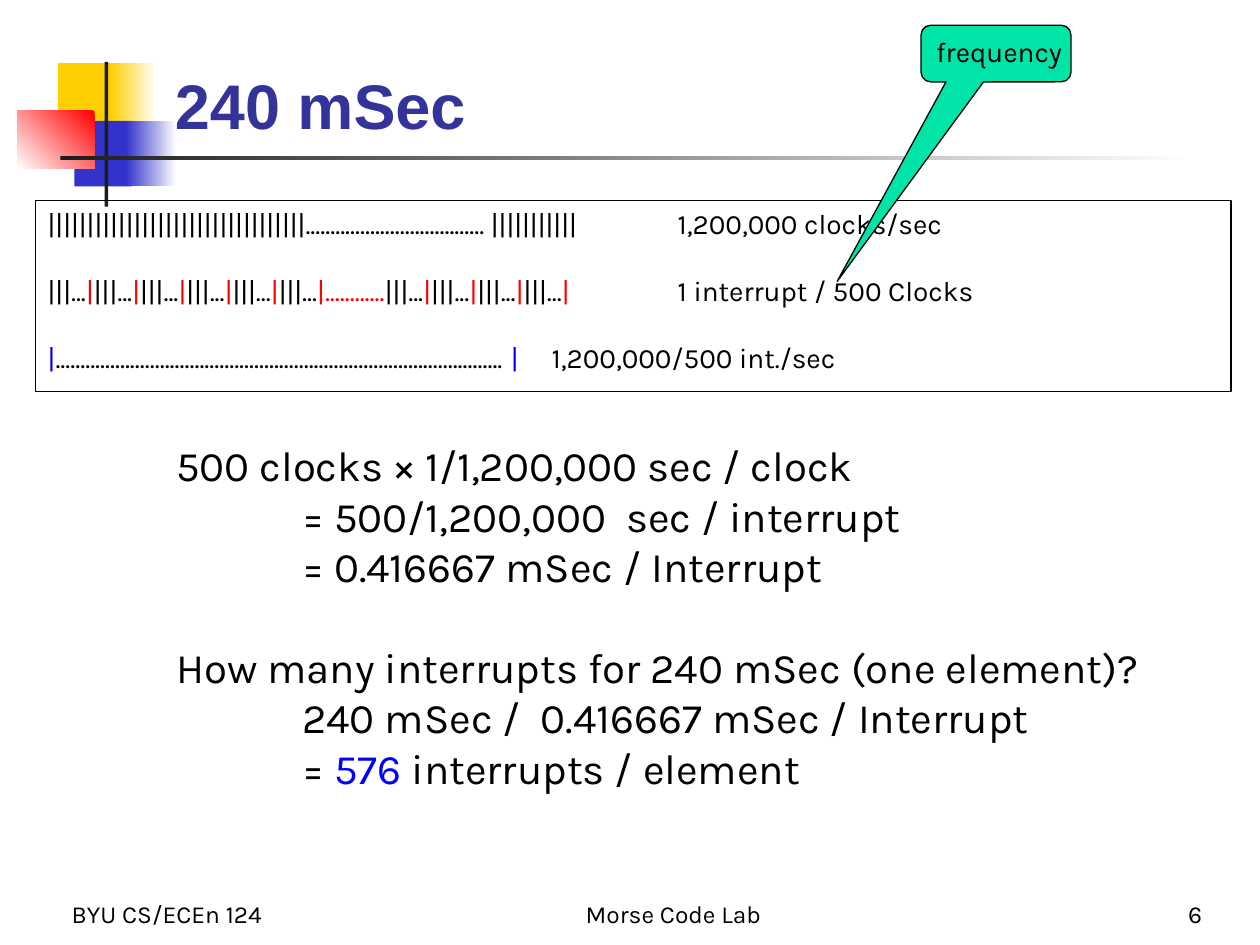
import pptx
import pptx.util
import pptx.dml.color
import pptx.enum.shapes
import pptx.enum.text
import pptx.oxml
import pptx.oxml.ns

RGBColor = pptx.dml.color.RGBColor
MSO_SHAPE = pptx.enum.shapes.MSO_SHAPE
PP_ALIGN = pptx.enum.text.PP_ALIGN
MSO_ANCHOR = pptx.enum.text.MSO_ANCHOR

WHITE = RGBColor(0xFF, 0xFF, 0xFF)
BLACK = RGBColor(0x00, 0x00, 0x00)
CHARCOAL = RGBColor(0x1C, 0x1C, 0x1C)
YELLOW = RGBColor(0xFF, 0xCF, 0x01)
INDIGO = RGBColor(0x33, 0x33, 0xCC)
TITLE_BLUE = RGBColor(0x33, 0x33, 0x99)
RED = RGBColor(0xFF, 0x00, 0x00)
BLUE = RGBColor(0x00, 0x00, 0xFF)
GREEN = RGBColor(0x00, 0xE4, 0xA8)

COLUMNS, ROWS = 100, 75
SLIDE_WIDTH = pptx.util.Inches(10)
SLIDE_HEIGHT = pptx.util.Inches(7.5)
BODY_FONT = "Karla"


def grid(column, row, columns, rows):
    cell_width, cell_height = SLIDE_WIDTH / COLUMNS, SLIDE_HEIGHT / ROWS
    return [round(length) for length in (column * cell_width, row * cell_height,
                                         columns * cell_width, rows * cell_height)]


def add_shape(slide, kind, area, fill=None, line=None):
    shape = slide.shapes.add_shape(kind, *grid(*area))
    shape.shadow.inherit = False
    if fill is None:
        shape.fill.background()
    else:
        shape.fill.solid()
        shape.fill.fore_color.rgb = fill
    if line is None:
        shape.line.fill.background()
    else:
        shape.line.color.rgb = line
        shape.line.width = pptx.util.Pt(0.75)
    return shape


def add_fading_block(slide, area, color, angle=0):
    shape = add_shape(slide, MSO_SHAPE.RECTANGLE, area)
    shape.fill.gradient()
    shape.fill.gradient_angle = angle
    for stop, stop_color in zip(shape.fill.gradient_stops, (color, WHITE)):
        stop.color.rgb = stop_color


def add_tab_stops(paragraph):
    tab_list = pptx.oxml.parse_xml(f"<a:tabLst {pptx.oxml.ns.nsdecls('a')}/>")
    for inches in range(1, 8):
        tab = tab_list.makeelement(pptx.oxml.ns.qn("a:tab"),
                                   {"pos": str(pptx.util.Inches(inches)), "algn": "l"})
        tab_list.append(tab)
    paragraph._p.get_or_add_pPr().append(tab_list)


def write_paragraph(paragraph, segments, size, color=BLACK, font=BODY_FONT,
                    bold=False, align=PP_ALIGN.LEFT, gap=0, indent=0):
    paragraph.alignment = align
    if gap:
        paragraph.space_before = pptx.util.Pt(gap)
    if indent:
        properties = paragraph._p.get_or_add_pPr()
        properties.set("marL", str(pptx.util.Inches(indent)))
    if any("\t" in text for text, _ in segments):
        add_tab_stops(paragraph)
    paragraph.font.name = font
    paragraph.font.size = pptx.util.Pt(size)
    paragraph.font.bold = bold
    paragraph.font.color.rgb = color
    for text, segment_color in segments:
        run = paragraph.add_run()
        run.text = text
        if segment_color != color:
            run.font.color.rgb = segment_color


def write_lines(shape, lines, size):
    frame = shape.text_frame
    for index, (segments, gap, indent) in enumerate(lines):
        paragraph = frame.add_paragraph() if index else frame.paragraphs[0]
        write_paragraph(paragraph, segments, size, gap=gap, indent=indent)


def add_text_box(slide, area, anchor=MSO_ANCHOR.TOP):
    box = slide.shapes.add_textbox(*grid(*area))
    box.text_frame.word_wrap = True
    box.text_frame.vertical_anchor = anchor
    return box


def add_label(slide, area, text, size, **style):
    box = add_text_box(slide, area, MSO_ANCHOR.BOTTOM)
    color = style.get("color", BLACK)
    write_paragraph(box.text_frame.paragraphs[0], [(text, color)], size, **style)


def add_decoration(slide):
    add_shape(slide, MSO_SHAPE.RECTANGLE, (4.6, 5, 4.8, 5.2), YELLOW)
    add_fading_block(slide, (8.8, 5, 3.6, 5.2), YELLOW)
    add_shape(slide, MSO_SHAPE.RECTANGLE, (5.9, 9.6, 4.6, 5.2), INDIGO)
    add_fading_block(slide, (10, 9.6, 4, 5.2), INDIGO)
    add_fading_block(slide, (1.4, 8.8, 6.1, 4.6), RED, angle=225)
    add_shape(slide, MSO_SHAPE.RECTANGLE, (8.3, 4.9, 0.3, 11.5), CHARCOAL)
    add_fading_block(slide, (4.8, 12.4, 90, 0.3), CHARCOAL)


def add_timeline(slide):
    frame = add_shape(slide, MSO_SHAPE.RECTANGLE, (2.8, 15.9, 94.9, 15.2), line=BLACK)
    frame.text_frame.word_wrap = True
    frame.text_frame.vertical_anchor = MSO_ANCHOR.TOP
    clocks = "|" * 33 + "." * 36 + " " + "|" * 11
    count = ("|||...", BLACK)
    tick = [count, ("|", RED)]
    interrupts = tick * 5 + [count, ("|" + "." * 12, RED)] + tick * 4
    write_lines(frame, [
        ([(clocks + "\t1,200,000 clocks/sec", BLACK)], 0, 0),
        (interrupts + [("\t1 interrupt / 500 Clocks", BLACK)], 19, 0),
        ([("|", BLUE), ("." * 90, BLACK), (" |", BLUE),
          ("\t1,200,000/500 int./sec", BLACK)], 19, 0),
    ], 16)


def add_calculation(slide):
    box = add_text_box(slide, (13, 34.4, 80.6, 29))
    write_lines(box, [
        ([("500 clocks × 1/1,200,000 sec / clock", BLACK)], 0, 0),
        ([("= 500/1,200,000  sec / interrupt", BLACK)], 0, 1),
        ([("= 0.416667 mSec / Interrupt", BLACK)], 0, 1),
        ([("How many interrupts for 240 mSec (one element)?", BLACK)], 28.8, 0),
        ([("240 mSec /  0.416667 mSec / Interrupt", BLACK)], 0, 1),
        ([("= ", BLACK), ("576", BLUE), (" interrupts / element", BLACK)], 0, 1),
    ], 24)


def add_callout(slide):
    callout = add_shape(slide, MSO_SHAPE.ROUNDED_RECTANGULAR_CALLOUT,
                        (73.1, 2, 11.9, 4.5), GREEN, BLACK)
    for index, value in enumerate((-1.06, 4.02, 0.17)):
        callout.adjustments[index] = value
    callout.text_frame.word_wrap = False
    callout.text_frame.vertical_anchor = MSO_ANCHOR.TOP
    write_lines(callout, [([("frequency", BLACK)], 0, 0)], 16)


def main():
    presentation = pptx.Presentation()
    presentation.slide_width = SLIDE_WIDTH
    presentation.slide_height = SLIDE_HEIGHT
    slide = presentation.slides.add_slide(presentation.slide_layouts[6])
    add_decoration(slide)
    add_label(slide, (12.9, 2.3, 85.2, 9.5), "240 mSec", 36,
              color=TITLE_BLUE, font="Arial", bold=True)
    add_label(slide, (4.7, 69.2, 20.8, 5), "BYU CS/ECEn 124", 14)
    add_label(slide, (27.8, 69.2, 51.3, 5), "Morse Code Lab", 14, align=PP_ALIGN.CENTER)
    add_label(slide, (75.6, 69.2, 20.8, 5), "6", 14, align=PP_ALIGN.RIGHT)
    add_timeline(slide)
    add_calculation(slide)
    add_callout(slide)
    presentation.save("out.pptx")


if __name__ == "__main__":
    main()
